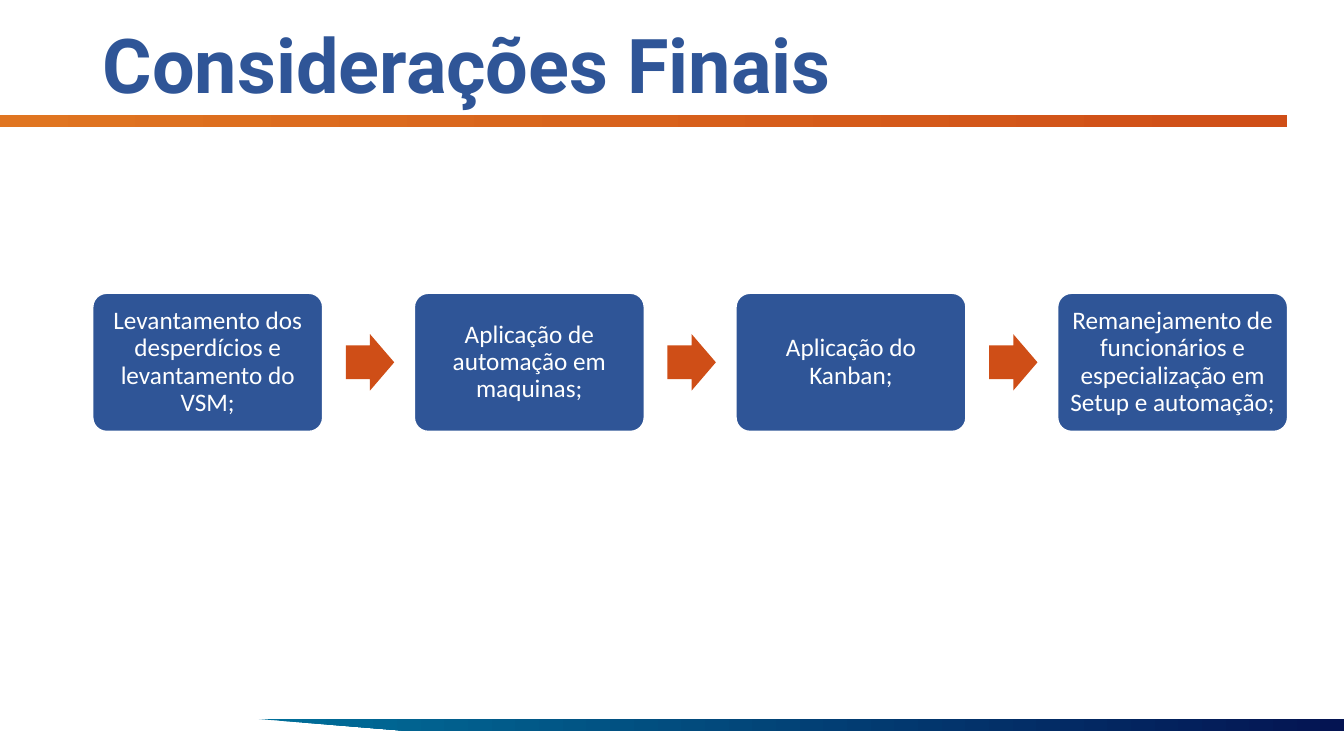
from pptx import Presentation
from pptx.dml.color import RGBColor
from pptx.enum.shapes import MSO_SHAPE
from pptx.enum.text import MSO_ANCHOR, PP_ALIGN
from pptx.util import Inches, Pt

WIDTH, HEIGHT = 13.33, 7.5
BLUE, ORANGE, WHITE = "2F5597", "CF4E17", "FFFFFF"
CARD_LEFT, CARD_TOP, CARD_WIDTH, CARD_HEIGHT = 0.92, 2.91, 2.28, 1.37
CARD_PITCH = 3.19
ARROW_OFFSET, ARROW_WIDTH, ARROW_HEIGHT = 2.51, 0.48, 0.56
BAR_HEIGHT = 0.12
STEPS = [
    "Levantamento dos desperdícios e levantamento do VSM;",
    "Aplicação de automação em maquinas;",
    "Aplicação do Kanban;",
    "Remanejamento de funcionários e especialização em Setup e automação;",
]
TITLE_FONT = {"name": "Roboto", "size": Pt(54), "bold": True}
CARD_FONT = {"name": "Calibri", "size": Pt(18), "bold": False}


def color(value):
    return RGBColor.from_string(value)


def write_text(shape, text, font_values, font_color, anchor, align, inset):
    frame = shape.text_frame
    frame_values = {
        "word_wrap": True,
        "vertical_anchor": anchor,
        "margin_left": Inches(inset),
        "margin_right": Inches(inset),
        "margin_top": Inches(0.05),
        "margin_bottom": Inches(0.05),
    }
    for name, value in frame_values.items():
        setattr(frame, name, value)
    para = frame.paragraphs[0]
    para.alignment = align
    para.line_spacing = 0.9
    span = para.add_run()
    span.text = text
    for name, value in font_values.items():
        setattr(span.font, name, value)
    span.font.color.rgb = color(font_color)


def add_preset(page, kind, left, top, width, height, adjustments=()):
    shape = page.shapes.add_shape(
        kind, Inches(left), Inches(top), Inches(width), Inches(height)
    )
    shape.shadow.inherit = False
    shape.line.fill.background()
    for index, value in enumerate(adjustments):
        shape.adjustments[index] = value
    return shape


def fill_solid(shape, value):
    shape.fill.solid()
    shape.fill.fore_color.rgb = color(value)


def fill_gradient(shape, *values):
    shape.fill.gradient()
    shape.fill.gradient_angle = 0
    for stop, value in zip(shape.fill.gradient_stops, values):
        stop.color.rgb = color(value)


def add_title(page, text):
    box = page.shapes.add_textbox(Inches(0.92), 0, Inches(9.26), Inches(1.14))
    write_text(box, text, TITLE_FONT, BLUE, MSO_ANCHOR.BOTTOM, PP_ALIGN.LEFT, 0.1)


def add_title_bar(page):
    bar = add_preset(page, MSO_SHAPE.RECTANGLE, 0, 1.14, 12.77, BAR_HEIGHT)
    fill_gradient(bar, "E07521", ORANGE)


def add_footer_bar(page):
    top, bottom = 7.13, 7.13 + BAR_HEIGHT
    corners = [(WIDTH, top), (WIDTH, bottom), (4.02, bottom)]
    builder = page.shapes.build_freeform(Inches(2.53), Inches(top))
    builder.add_line_segments([(Inches(x), Inches(y)) for x, y in corners], close=True)
    bar = builder.convert_to_shape()
    bar.shadow.inherit = False
    bar.line.fill.background()
    fill_gradient(bar, "006F9A", "041452")


def add_card(page, left, text):
    card = add_preset(
        page, MSO_SHAPE.ROUNDED_RECTANGLE, left, CARD_TOP, CARD_WIDTH, CARD_HEIGHT, [0.1]
    )
    fill_solid(card, BLUE)
    card.line.color.rgb = color(WHITE)
    card.line.width = Pt(1)
    write_text(card, text, CARD_FONT, WHITE, MSO_ANCHOR.MIDDLE, PP_ALIGN.CENTER, 0.07)


def add_arrow(page, left):
    top = CARD_TOP + (CARD_HEIGHT - ARROW_HEIGHT) / 2
    arrow = add_preset(
        page, MSO_SHAPE.RIGHT_ARROW, left, top, ARROW_WIDTH, ARROW_HEIGHT, [0.6, 0.5]
    )
    fill_solid(arrow, ORANGE)


def main():
    deck = Presentation()
    deck.slide_width, deck.slide_height = Inches(WIDTH), Inches(HEIGHT)
    page = deck.slides.add_slide(deck.slide_layouts[6])
    add_title(page, "Considerações Finais")
    add_title_bar(page)
    add_footer_bar(page)
    for index, step in enumerate(STEPS):
        left = CARD_LEFT + index * CARD_PITCH
        add_card(page, left, step)
        if index < len(STEPS) - 1:
            add_arrow(page, left + ARROW_OFFSET)
    deck.save("out.pptx")


if __name__ == "__main__":
    main()
